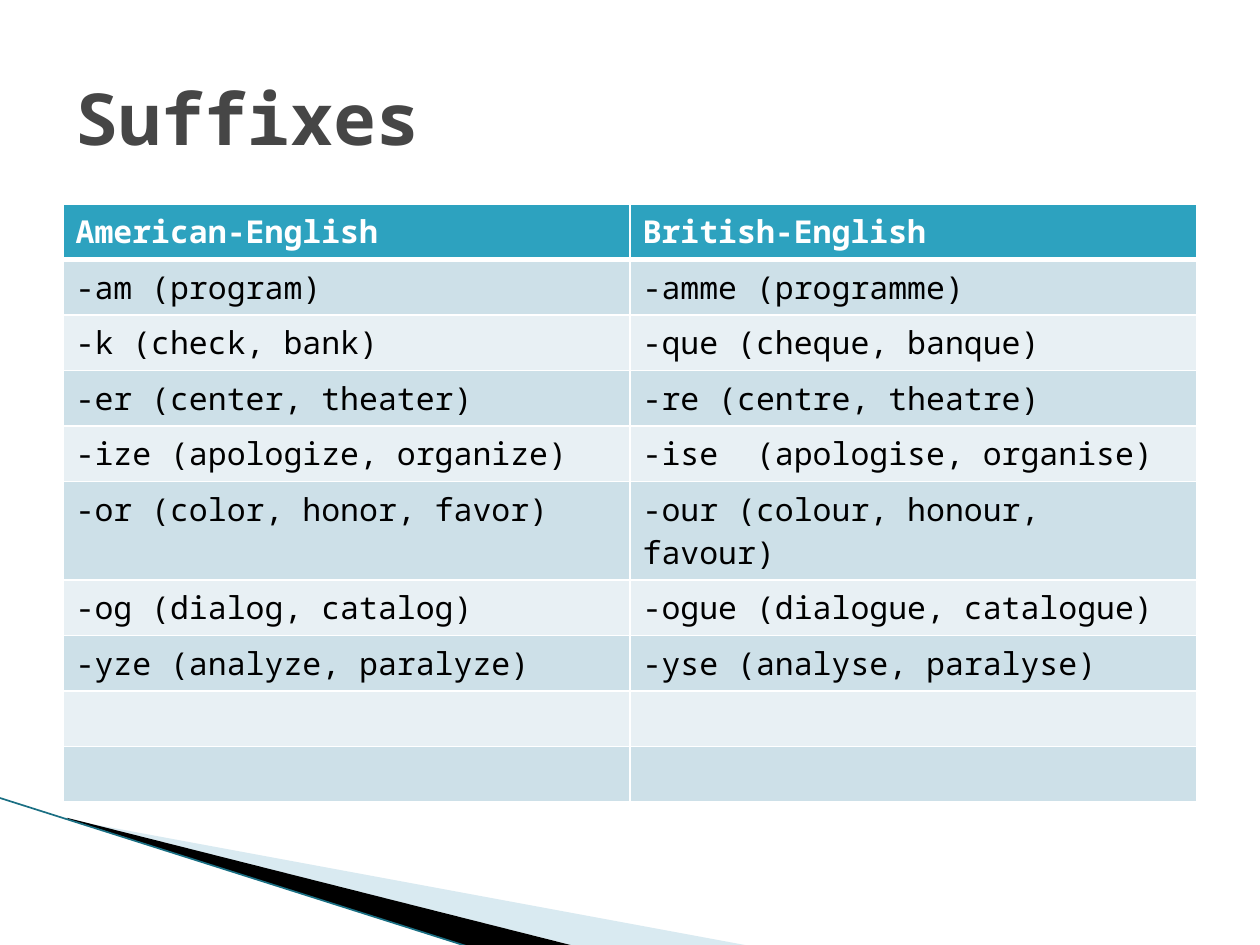
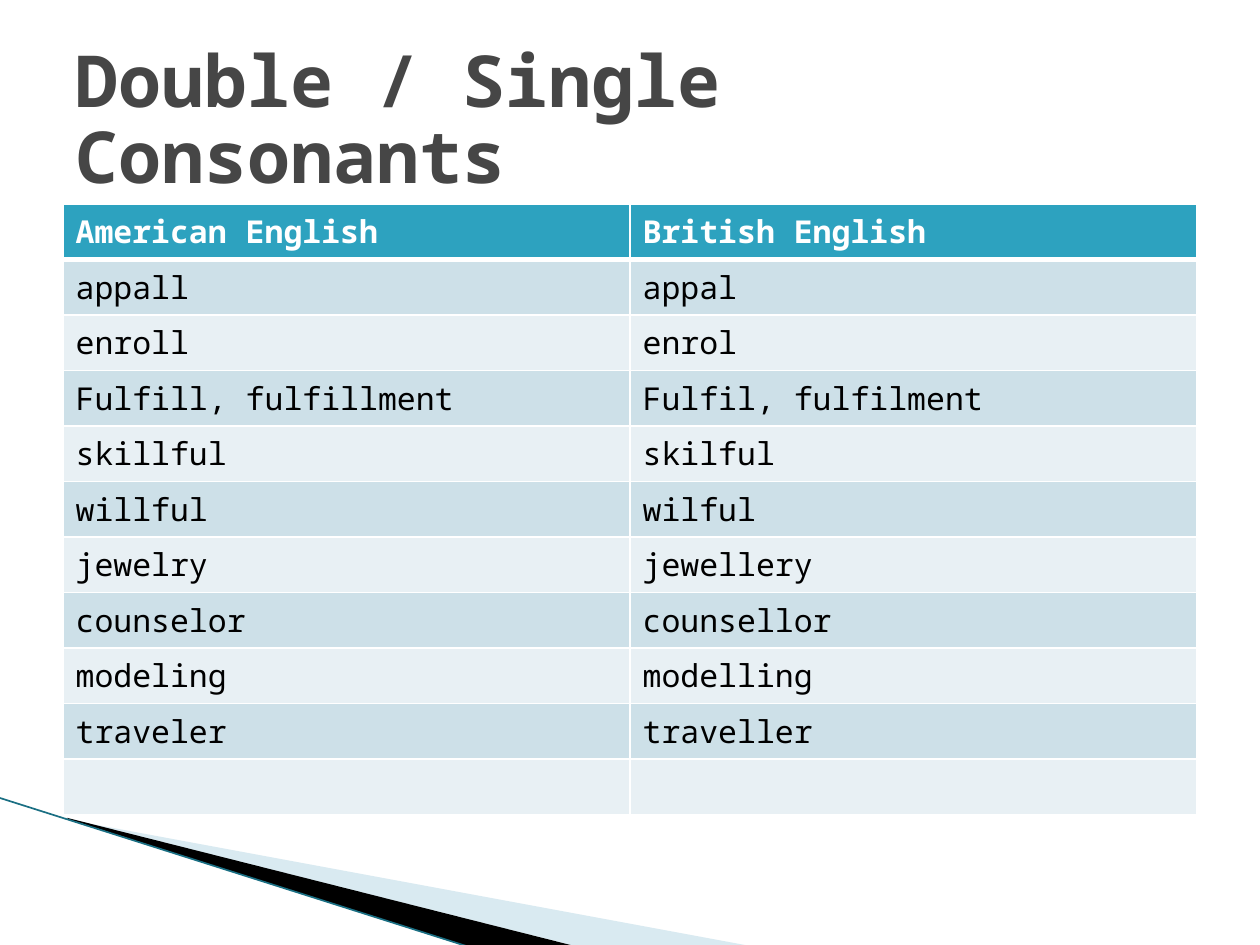
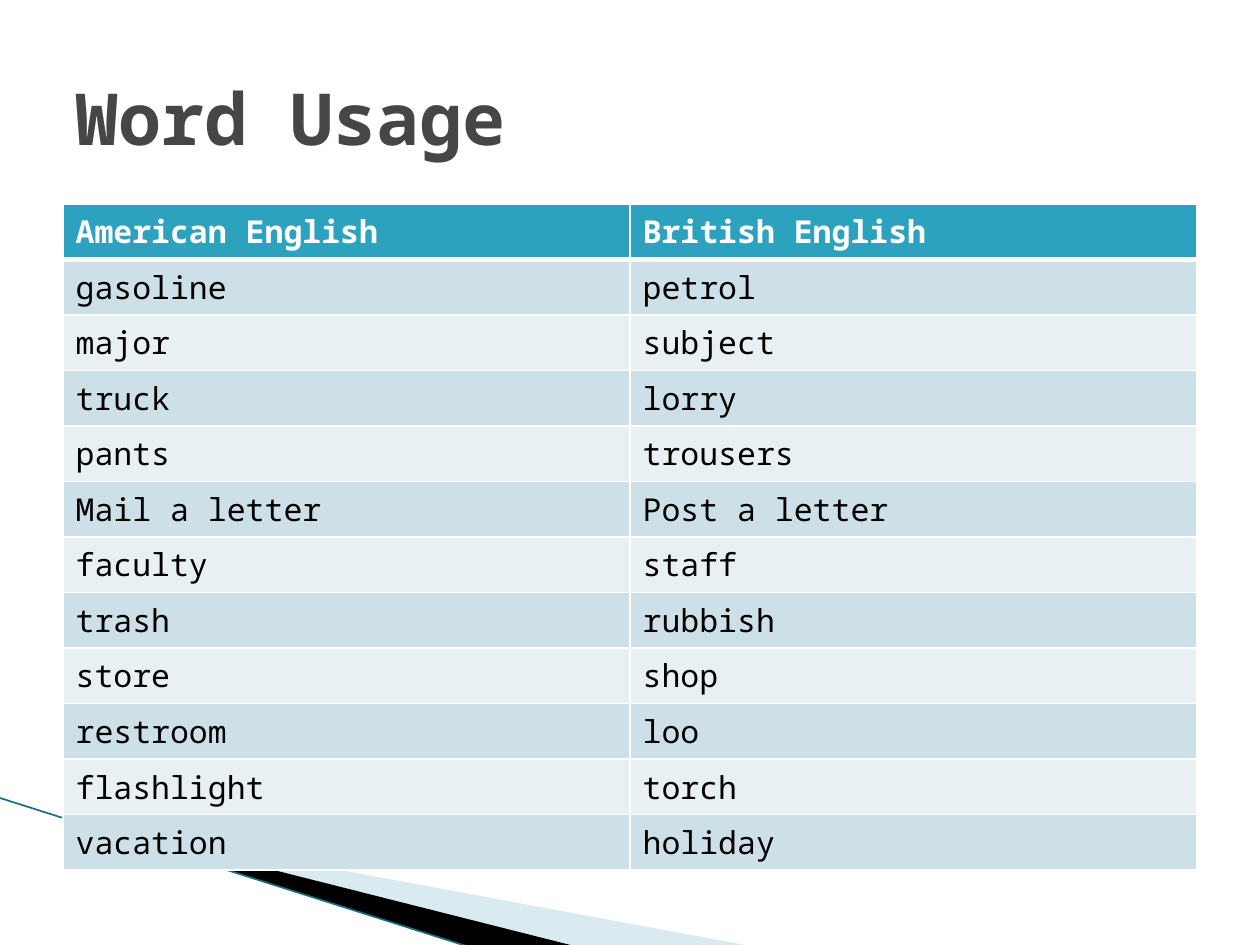
from dataclasses import dataclass

from lxml.etree import SubElement
from pptx import Presentation
from pptx.dml.color import RGBColor as RGB
from pptx.enum.shapes import MSO_CONNECTOR as CONN
from pptx.enum.text import MSO_ANCHOR as ANCHOR, MSO_AUTO_SIZE as FIT
from pptx.oxml.ns import qn
from pptx.util import Pt


@dataclass(frozen=True)
class Theme:
    font: str = "Noto Sans Mono"
    title_size: int = 41
    cell_size: int = 18
    title: str = "464646"
    header: str = "2DA2BF"
    bands: tuple = ("CDE0E8", "E8F0F4")
    white: str = "FFFFFF"
    black: str = "000000"
    sweep: str = "A0CBDC"
    edge: str = "1A6F83"


T = Theme()
LEFT, WIDTH = 36, 648
TABLE_TOP, ROW_HEIGHT = 116.6, 29.2

SLIDES = [
    ("Suffixes", [
        ("American-English", "British-English"),
        ("-am (program)", "-amme (programme)"),
        ("-k (check, bank)", "-que (cheque, banque)"),
        ("-er (center, theater)", "-re (centre, theatre)"),
        ("-ize (apologize, organize)", "-ise  (apologise, organise)"),
        ("-or (color, honor, favor)", "-our (colour, honour, favour)"),
        ("-og (dialog, catalog)", "-ogue (dialogue, catalogue)"),
        ("-yze (analyze, paralyze)", "-yse (analyse, paralyse)"),
        ("", ""),
        ("", ""),
    ]),
    ("Double / Single Consonants", [
        ("American English", "British English"),
        ("appall", "appal"),
        ("enroll", "enrol"),
        ("Fulfill, fulfillment", "Fulfil, fulfilment"),
        ("skillful", "skilful"),
        ("willful", "wilful"),
        ("jewelry", "jewellery"),
        ("counselor", "counsellor"),
        ("modeling", "modelling"),
        ("traveler", "traveller"),
        ("", ""),
    ]),
    ("Word Usage", [
        ("American English", "British English"),
        ("gasoline", "petrol"),
        ("major", "subject"),
        ("truck", "lorry"),
        ("pants", "trousers"),
        ("Mail a letter", "Post a letter"),
        ("faculty", "staff"),
        ("trash", "rubbish"),
        ("store", "shop"),
        ("restroom", "loo"),
        ("flashlight", "torch"),
        ("vacation", "holiday"),
    ]),
]


def write(p, text, size, color, bold):
    r = p.add_run()
    r.text = text
    for name, value in {"name": T.font, "size": Pt(size), "bold": bold}.items():
        setattr(r.font, name, value)
    r.font.color.rgb = RGB.from_string(color)


# Corner decoration
def set_frame(sp, frame):
    """Give the outline a new frame while its points stay in place."""
    left, top, width, height = map(Pt, frame)
    outline = sp._element.find(".//" + qn("a:path"))
    for pt in outline.iter(qn("a:pt")):
        pt.set("x", str(int(pt.get("x")) + sp.left - left))
        pt.set("y", str(int(pt.get("y")) + sp.top - top))
    outline.set("w", str(width))
    outline.set("h", str(height))
    sp.left, sp.top, sp.width, sp.height = left, top, width, height


def add_wedge(s, frame, points, color, opacity=100):
    start, *rest = [(Pt(x), Pt(y)) for x, y in points]
    builder = s.shapes.build_freeform(*start)
    builder.add_line_segments(rest, close=True)
    sp = builder.convert_to_shape()
    set_frame(sp, frame)
    sp.shadow.inherit = False
    sp.line.fill.background()
    sp.fill.solid()
    sp.fill.fore_color.rgb = RGB.from_string(color)
    if opacity < 100:
        clr = sp.fill._xPr.find(".//" + qn("a:srgbClr"))
        SubElement(clr, qn("a:alpha"), val=str(opacity * 1000))


def add_corner(s):
    add_wedge(s, (56.2, 393.8, 299.5, 113.8),
              [(39.6, 468.5), (428.4, 540.5), (328.3, 540.5), (39.6, 468)], T.sweep, 40)
    add_wedge(s, (-4.3, 455.8, 299.5, 66.2),
              [(38.2, 467.3), (328, 540.5), (267.8, 541.2), (38.9, 468)], T.black)
    ln = s.shapes.add_connector(CONN.STRAIGHT, Pt(-0.7), Pt(455.8), Pt(269), Pt(541.4))
    ln.line.color.rgb = RGB.from_string(T.edge)
    ln.line.width = Pt(0.95)
    SubElement(ln._element.spPr, qn("a:effectLst"))


# Comparison table
def set_borders(cell, top, bottom):
    tcPr = cell._tc.get_or_add_tcPr()
    for side, width in {"L": 1, "R": 1, "T": top, "B": bottom}.items():
        ln = SubElement(tcPr, qn("a:ln" + side), w=str(Pt(width)))
        SubElement(SubElement(ln, qn("a:solidFill")), qn("a:srgbClr"), val=T.white)


def fill_cell(cell, text, row):
    header = row == 0
    set_borders(cell, 3 if row == 1 else 1, 3 if header else 1)
    cell.fill.solid()
    cell.fill.fore_color.rgb = RGB.from_string(T.header if header else T.bands[(row - 1) % 2])
    p = cell.text_frame.paragraphs[0]
    if text:
        write(p, text, T.cell_size, T.white if header else T.black, header)
    else:  # an empty cell keeps the height of a text line
        end = SubElement(p._p, qn("a:endParaRPr"), sz=str(T.cell_size * 100))
        SubElement(end, qn("a:latin"), typeface=T.font)


def add_word_table(s, rows):
    table = s.shapes.add_table(len(rows), 2, Pt(LEFT), Pt(TABLE_TOP),
                               Pt(WIDTH), Pt(ROW_HEIGHT * len(rows))).table
    table.horz_banding = False
    for i, words in enumerate(rows):
        table.rows[i].height = Pt(ROW_HEIGHT)
        for j, text in enumerate(words):
            fill_cell(table.cell(i, j), text, i)


# Title
def add_title(s, text):
    tf = s.shapes.add_textbox(Pt(LEFT), Pt(21.6), Pt(WIDTH), Pt(90)).text_frame
    for name, value in {"word_wrap": True, "vertical_anchor": ANCHOR.MIDDLE,
                        "auto_size": FIT.NONE, "margin_top": Pt(10.3)}.items():
        setattr(tf, name, value)
    p = tf.paragraphs[0]
    p.line_spacing = 0.88
    write(p, text, T.title_size, T.title, True)


def main():
    prs = Presentation()
    prs.slide_width, prs.slide_height = Pt(720), Pt(540)
    for title, rows in SLIDES:
        s = prs.slides.add_slide(prs.slide_layouts[6])
        add_corner(s)
        add_word_table(s, rows)
        add_title(s, title)
    prs.save("out.pptx")


if __name__ == "__main__":
    main()
